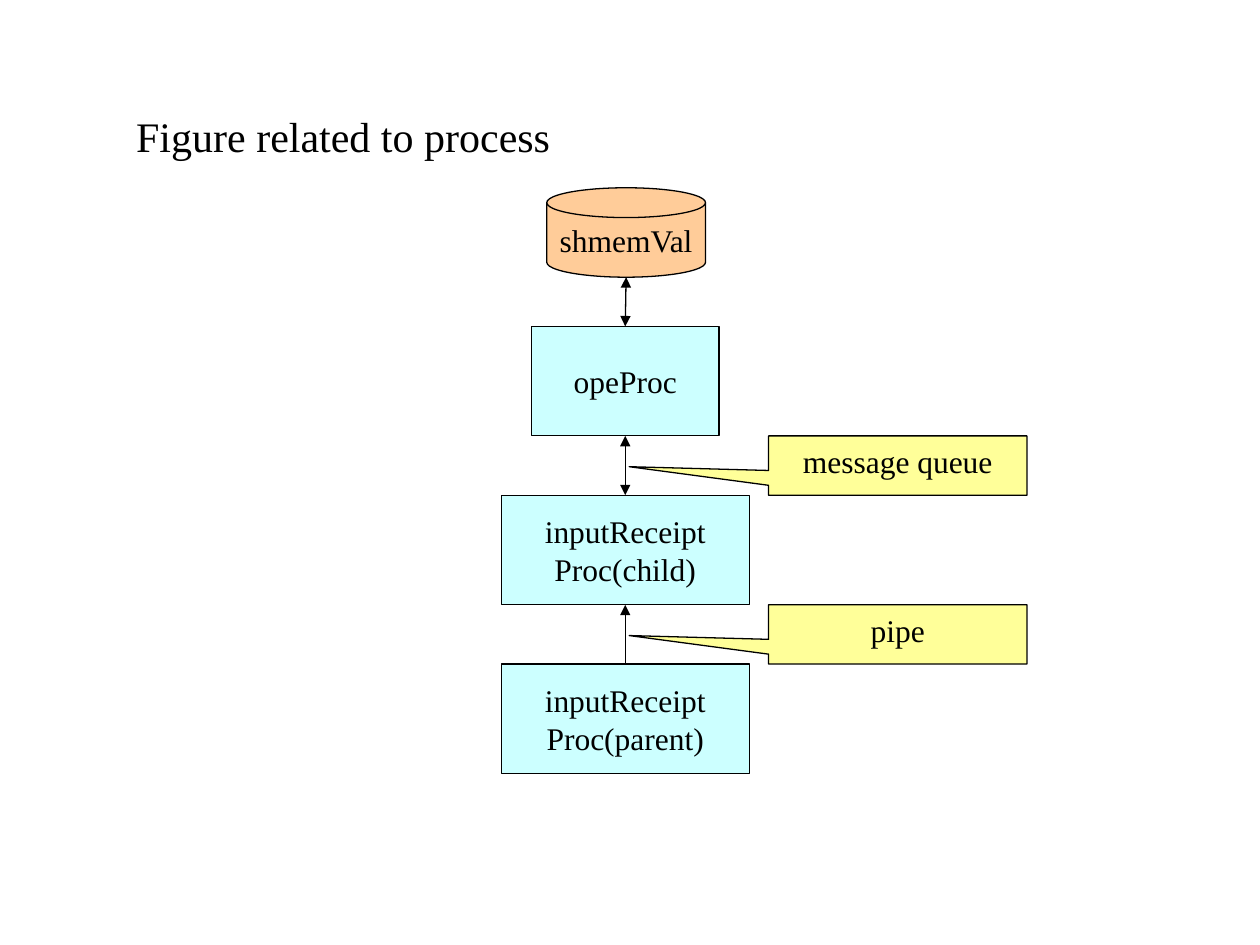
from lxml import etree
from pptx import Presentation
from pptx.dml.color import RGBColor
from pptx.enum.shapes import MSO_CONNECTOR, MSO_SHAPE
from pptx.enum.text import MSO_ANCHOR, MSO_AUTO_SIZE, PP_ALIGN
from pptx.oxml.ns import qn
from pptx.util import Pt

DISK = MSO_SHAPE.FLOWCHART_MAGNETIC_DISK
PROCESS = MSO_SHAPE.FLOWCHART_PROCESS
CALLOUT = MSO_SHAPE.RECTANGULAR_CALLOUT
STRAIGHT = MSO_CONNECTOR.STRAIGHT
TOP, MIDDLE = MSO_ANCHOR.TOP, MSO_ANCHOR.MIDDLE
LEFT, CENTER = PP_ALIGN.LEFT, PP_ALIGN.CENTER
NO_AUTOFIT = MSO_AUTO_SIZE.NONE

FONT = "Times New Roman"
BLACK, ORANGE, CYAN, YELLOW = "000000", "FFCC99", "CCFFFF", "FFFF99"


def color(hex_value):
    return RGBColor.from_string(hex_value)


def place(shape, left, top, width, height):
    shape.left, shape.top = Pt(left), Pt(top)
    shape.width, shape.height = Pt(width), Pt(height)


def write(shape, text, size, alignment, anchor, wrap=True):
    frame = shape.text_frame
    frame.text = text
    frame.word_wrap = wrap
    frame.auto_size = NO_AUTOFIT
    frame.vertical_anchor = anchor
    paragraph = frame.paragraphs[0]
    paragraph.alignment = alignment
    font = paragraph.runs[0].font
    font.name, font.size = FONT, Pt(size)
    font.color.rgb = color(BLACK)


def add_node(slide, kind, box, text, fill, anchor=MIDDLE, wrap=True):
    left, top, width, height = box
    shape = slide.shapes.add_shape(kind, Pt(left), Pt(top), Pt(width), Pt(height))
    shape.shadow.inherit = False
    shape.fill.solid()
    shape.fill.fore_color.rgb = color(fill)
    shape.line.color.rgb = color(BLACK)
    shape.line.width = Pt(0.75)
    write(shape, text, 18, CENTER, anchor, wrap)
    return shape


def add_arrow(slide, start, end, both_ways=True):
    """Draw an arrow to the end point, and back to the start if both_ways."""
    arrow = slide.shapes.add_connector(STRAIGHT, *map(Pt, start + end))
    arrow.line.color.rgb = color(BLACK)
    arrow.line.width = Pt(0.75)
    line = arrow.line._get_or_add_ln()
    for tag in ("a:headEnd", "a:tailEnd") if both_ways else ("a:tailEnd",):
        etree.SubElement(line, qn(tag), type="triangle")
    etree.SubElement(arrow._element.spPr, qn("a:effectLst"))


def add_title(slide, left, top, width, height):
    title = slide.shapes.title
    place(title, left, top, width, height)
    write(title, "Figure related to process", 24, LEFT, TOP)


def add_process_diagram(slide, left, top, width):
    """Stack the store and the processes, with channel callouts on the right."""
    center = left + 70.9
    disk_center, disk_width, disk_height = center + 0.5, 90.7, 51.1
    first_process = top + 79.2
    process_height, gap = 62.6, 33.9
    callout_width = 147.6

    add_node(slide, DISK,
             (disk_center - disk_width / 2, top, disk_width, disk_height),
             "shmemVal", ORANGE, wrap=False)
    add_arrow(slide, (center, first_process), (disk_center, top + disk_height))

    processes = [
        ("opeProc", 107.3, "message queue", True),
        ("inputReceipt Proc(child)", 141.8, "pipe", False),
        ("inputReceipt Proc(parent)", 141.8, None, False),
    ]
    for row, (name, process_width, channel, both_ways) in enumerate(processes):
        process_top = first_process + row * (process_height + gap)
        bottom = process_top + process_height
        add_node(slide, PROCESS,
                 (center - process_width / 2, process_top, process_width, process_height),
                 name, CYAN)
        if channel:
            add_arrow(slide, (center, bottom + gap), (center, bottom), both_ways)
            callout = add_node(slide, CALLOUT,
                               (left + width - callout_width, bottom, callout_width, gap),
                               channel, YELLOW, TOP)
            callout.adjustments[0] = -1.04
            callout.adjustments[1] = 0.02


def main():
    presentation = Presentation()
    presentation.slide_width, presentation.slide_height = Pt(720), Pt(540)
    slide = presentation.slides.add_slide(presentation.slide_layouts[5])
    add_title(slide, 70.6, 59.8, 629.3, 36)
    add_process_diagram(slide, 286.4, 107.3, 300.4)
    presentation.save("out.pptx")


if __name__ == "__main__":
    main()
